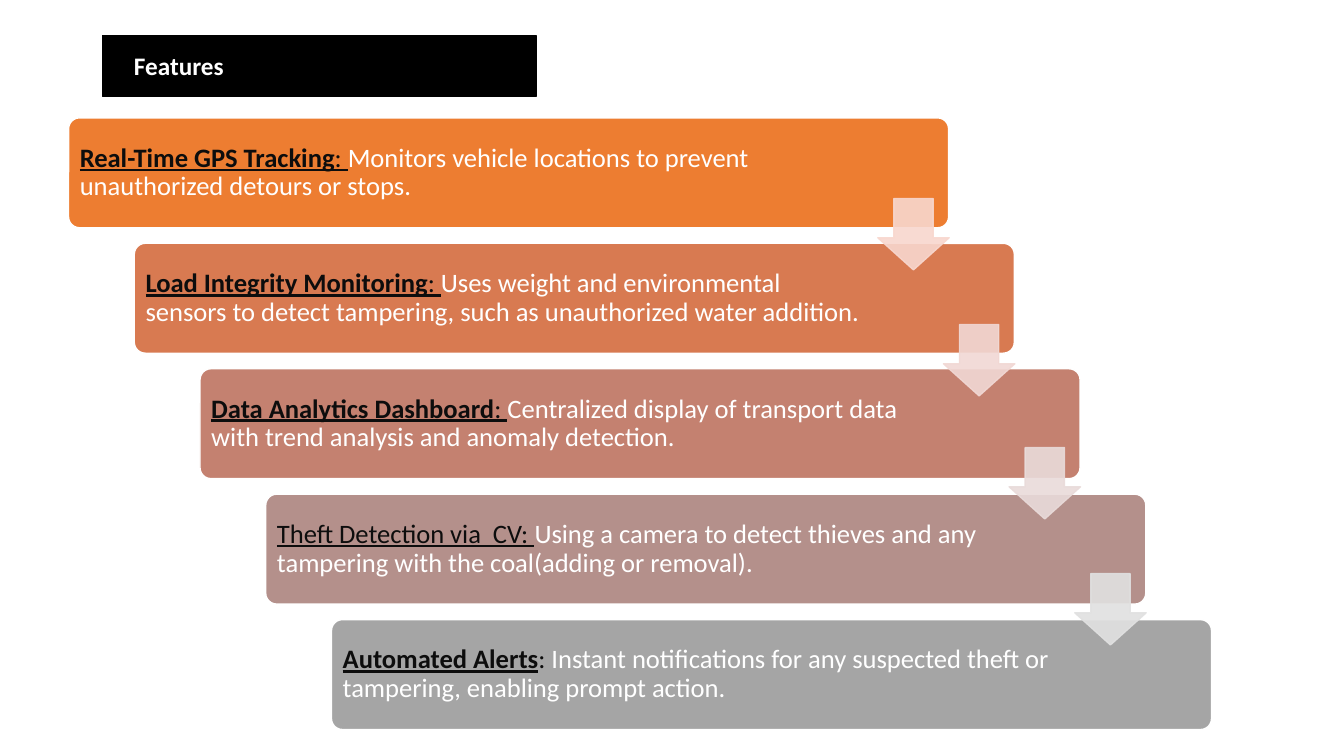
from pptx import Presentation
from pptx.dml.color import RGBColor as RGB
from pptx.enum.shapes import MSO_SHAPE as Shape
from pptx.enum.text import MSO_ANCHOR as Anchor
from pptx.oxml.ns import qn
from pptx.util import Pt
from lxml.etree import SubElement as Sub

DARK, WHITE = "0D0D0D", "FFFFFF"
STEPS = [
    ("ED7D31", 535, [("Real-Time GPS Tracking", True, True), (": ", False, True)],
     "Monitors vehicle locations to prevent unauthorized detours or stops."),
    ("D87A51", 526.3, [("Load Integrity Monitoring", True, True), (": ", False, True)],
     "Uses weight and environmental sensors to detect tampering, "
     "such as unauthorized water addition."),
    ("C48170", 526.3, [("Data Analytics Dashboard", True, True), (": ", False, True)],
     "Centralized display of transport data with trend analysis and anomaly detection."),
    ("B4908B", 526.3, [("Theft Detection via  CV: ", False, True)],
     "Using a camera to detect thieves and any tampering with the coal(adding or removal)."),
    ("A5A5A5", 526.3, [("Automated Alerts", True, True), (": ", False, False)],
     "Instant notifications for any suspected theft or tampering, enabling prompt action."),
]
ARROWS = [("F8D7CE", 141.8), ("F1D8D4", 231.8), ("E9DBDA", 319.7), ("E1E1E1", 409.7)]


def tint(item, hue):
    """Give a fill or font colour object a hex colour."""
    item.rgb = RGB.from_string(hue)


def apply(item, form):
    """Set every attribute in a dict of format values."""
    for name, value in form.items():
        setattr(item, name, value)


def block(slide, kind, box, fill, edge, adjust=(), alpha=None):
    """Draw a filled preset shape with a one-point outline."""
    shape = slide.shapes.add_shape(kind, *map(Pt, box))
    shape.shadow.inherit = False
    for i, value in enumerate(adjust):
        shape.adjustments[i] = value
    shape.fill.solid()
    tint(shape.fill.fore_color, fill)
    tint(shape.line.color, edge)
    shape.line.width = Pt(1)
    if alpha:
        for node in shape.element.spPr.iter(qn("a:srgbClr")):
            Sub(node, qn("a:alpha"), val=str(alpha * 1000))


def label(slide, box, runs, size, frame, para):
    """Add a text box with one paragraph of formatted runs."""
    text = slide.shapes.add_textbox(*map(Pt, box)).text_frame
    apply(text, {"word_wrap": True, **frame})
    line = text.paragraphs[0]
    apply(line, para)
    for words, hue, bold, under in runs:
        run = line.add_run()
        run.text = words
        apply(run.font, {"name": "Calibri", "size": Pt(size),
                         "bold": bold, "underline": under})
        tint(run.font.color, hue)


def step(slide, i, fill, width, head, body):
    """Draw one bar of the staircase with its text."""
    left, top = 49 + 46.95 * i, 84.2 + 89.6 * i
    block(slide, Shape.ROUNDED_RECTANGLE, (left, top, 628.6, 78.5), fill, WHITE, [0.1])
    runs = [(words, DARK, bold, under) for words, bold, under in head]
    sides = ("left", "top", "right", "bottom")
    frame = {"vertical_anchor": Anchor.MIDDLE,
             **{f"margin_{side}": Pt(5.7) for side in sides}}
    label(slide, (left + 2.3, top + 2.3, width, 74), runs + [(body, WHITE, False, False)],
          19, frame, {"line_spacing": 0.9})


def main():
    """Build the slide and save it."""
    deck = Presentation()
    apply(deck, {"slide_width": Pt(960), "slide_height": Pt(540)})
    slide = deck.slides.add_slide(deck.slide_layouts[6])
    block(slide, Shape.RECTANGLE, (73.4, 25.2, 309.6, 43.9), "000000", "000000")
    label(slide, (88.6, 32.4, 176.4, 28.8), [("Features", WHITE, True, False)], 18, {}, {})
    for i, item in enumerate(STEPS):
        step(slide, i, *item)
    for i, (hue, top) in enumerate(ARROWS):
        block(slide, Shape.DOWN_ARROW, (627 + 46.9 * i, top, 51, 51),
              hue, hue, [0.55, 0.45], 90)
    deck.save("out.pptx")


if __name__ == "__main__":
    main()
